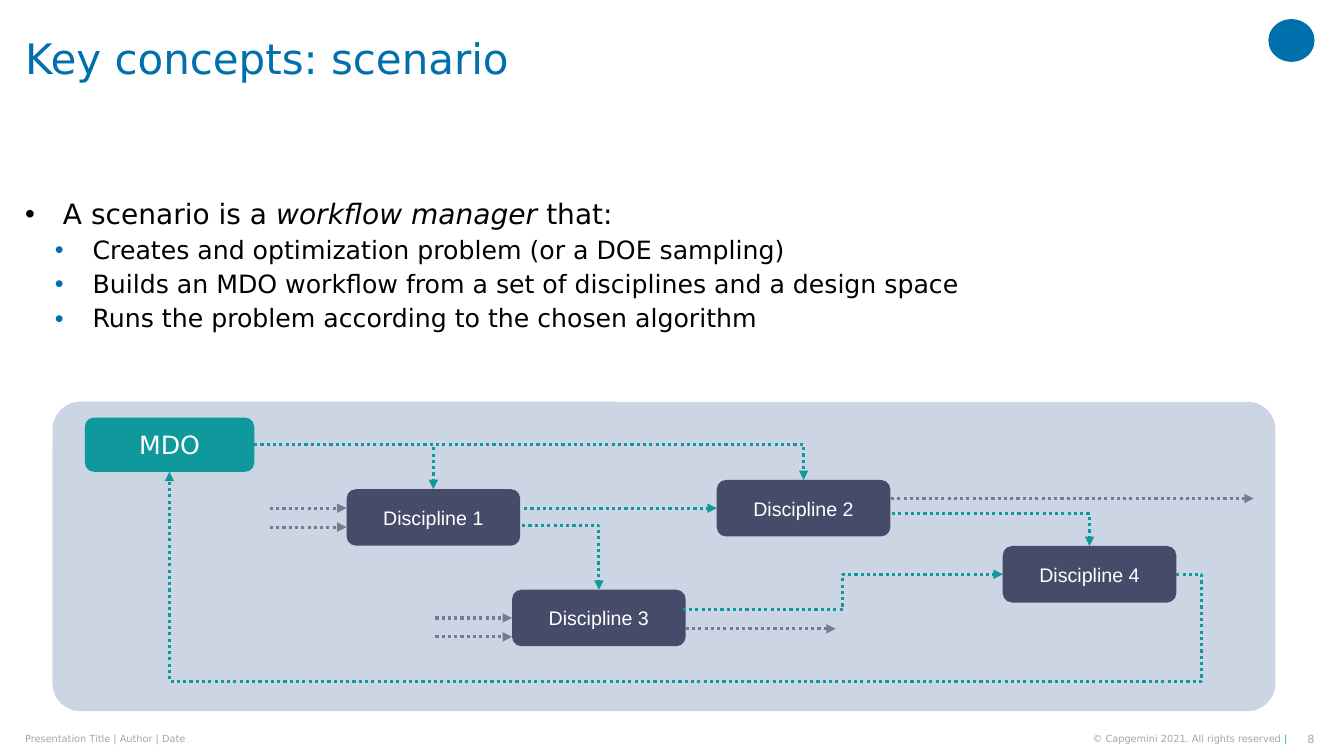
from lxml import etree
from pptx import Presentation
from pptx.dml.color import RGBColor
from pptx.enum.dml import MSO_LINE
from pptx.enum.shapes import MSO_CONNECTOR, MSO_SHAPE
from pptx.enum.text import MSO_ANCHOR, PP_ALIGN
from pptx.oxml.ns import qn
from pptx.util import Pt

ROUNDED, OVAL = MSO_SHAPE.ROUNDED_RECTANGLE, MSO_SHAPE.OVAL
STRAIGHT, ELBOW = MSO_CONNECTOR.STRAIGHT, MSO_CONNECTOR.ELBOW
DOTTED = MSO_LINE.ROUND_DOT
TOP_ANCHOR, MIDDLE = MSO_ANCHOR.TOP, MSO_ANCHOR.MIDDLE
LEFT_ALIGN, CENTER, RIGHT_ALIGN = PP_ALIGN.LEFT, PP_ALIGN.CENTER, PP_ALIGN.RIGHT
TOP, LEFT, BOTTOM, RIGHT = range(4)

BLUE, CYAN, TEAL = "0070AD", "12ABDB", "0F999C"
NAVY, SLATE, PANEL = "464B69", "777B91", "CBD5E3"
BLACK, WHITE, GREY = "000000", "FFFFFF", "A6A6A6"
SANS, ARIAL = "DejaVu Sans", "Arial"


def color(value):
    return RGBColor.from_string(value)


class Page:
    def __init__(self, slide, font):
        self.shapes = slide.shapes
        self.font = font

    def add_span(self, para, text, size, ink, font=None, italic=False):
        span = para.add_run()
        span.text = text
        span.font.size = Pt(size)
        span.font.name = font or self.font
        span.font.color.rgb = color(ink)
        span.font.italic = italic

    def text_box(self, left, top, width, height, anchor=MIDDLE):
        box = self.shapes.add_textbox(Pt(left), Pt(top), Pt(width), Pt(height))
        frame = box.text_frame
        frame.word_wrap = True
        frame.vertical_anchor = anchor
        frame.margin_left = frame.margin_top = 0
        frame.margin_right = frame.margin_bottom = 0
        return frame

    def label(self, left, top, width, height, spans, size, align=LEFT_ALIGN):
        para = self.text_box(left, top, width, height).paragraphs[0]
        para.alignment = align
        para.line_spacing = 0.9
        for text, ink in spans:
            self.add_span(para, text, size, ink)

    def bullet(self, para, margin, hanging, ink):
        properties = para._p.get_or_add_pPr()
        properties.set("marL", str(Pt(margin)))
        properties.set("indent", str(-Pt(hanging)))
        tint = etree.SubElement(properties, qn("a:buClr"))
        etree.SubElement(tint, qn("a:srgbClr")).set("val", ink)
        etree.SubElement(properties, qn("a:buFont")).set("typeface", ARIAL)
        etree.SubElement(properties, qn("a:buChar")).set("char", "•")
        para.line_spacing = 0.9

    def shape(self, kind, left, top, width, height, fill):
        box = self.shapes.add_shape(kind, Pt(left), Pt(top), Pt(width), Pt(height))
        box.shadow.inherit = False
        box.fill.solid()
        box.fill.fore_color.rgb = color(fill)
        box.line.fill.background()
        return box

    def block(self, left, top, width, height, fill, text, size, font=None):
        box = self.shape(ROUNDED, left, top, width, height, fill)
        box.text_frame.vertical_anchor = MIDDLE
        para = box.text_frame.paragraphs[0]
        para.alignment = CENTER
        self.add_span(para, text, size, WHITE, font)
        return box

    def arrow(self, start, end, ink, bends=0, source=None, target=None, adjust=()):
        kind = ELBOW if bends else STRAIGHT
        link = self.shapes.add_connector(kind, *[Pt(value) for value in start + end])
        if source:
            link.begin_connect(*source)
        if target:
            link.end_connect(*target)
        link.line.color.rgb = color(ink)
        link.line.width = Pt(2.25)
        link.line.dash_style = DOTTED
        properties = link._element.spPr
        head = etree.SubElement(properties.get_or_add_ln(), qn("a:tailEnd"))
        head.set("type", "triangle")
        etree.SubElement(properties, qn("a:effectLst"))
        if bends:
            geometry = properties.find(qn("a:prstGeom"))
            geometry.set("prst", f"bentConnector{bends + 1}")
            guides = geometry.find(qn("a:avLst"))
            for number, value in enumerate(adjust, 1):
                guide = etree.SubElement(guides, qn("a:gd"))
                guide.set("name", f"adj{number}")
                guide.set("fmla", f"val {round(value * 100000)}")


def add_texts(page):
    page.label(18, 0, 876, 87, [("Key concepts: scenario", BLUE)], 30)
    page.label(18, 523.5, 372, 9.5, [("Presentation Title | Author | Date", GREY)], 7)
    rights = [("© Capgemini 2021. All rights reserved ", GREY), ("|", CYAN)]
    page.label(710, 523.5, 209.5, 9.5, rights, 7, RIGHT_ALIGN)
    page.label(925, 523.5, 14, 9.5, [("8", GREY)], 8, RIGHT_ALIGN)

    frame = page.text_box(18, 143.3, 921.6, 124, TOP_ANCHOR)
    para = frame.paragraphs[0]
    page.bullet(para, 27, 27, BLACK)
    page.add_span(para, "A scenario is a ", 20, BLACK)
    page.add_span(para, "workflow manager ", 20, BLACK, italic=True)
    page.add_span(para, "that:", 20, BLACK)
    for task in (
        "Creates and optimization problem (or a DOE sampling)",
        "Builds an MDO workflow from a set of disciplines and a design space",
        "Runs the problem according to the chosen algorithm",
    ):
        para = frame.add_paragraph()
        page.bullet(para, 48.2, 27, BLUE)
        para.space_before = Pt(5)
        page.add_span(para, task, 18, BLACK)


def add_workflow(page):
    panel = page.shape(ROUNDED, 37.5, 287, 873.5, 221, PANEL)
    panel.adjustments[0] = 0.09
    mdo = page.block(60.6, 298.3, 121, 38.7, TEAL, "MDO", 18)
    corners = [(247.6, 349.4), (512, 342.8), (365.8, 421.2), (716.3, 390)]
    first, second, third, fourth = [
        page.block(left, top, 124, 40.4, NAVY, f"Discipline {number}", 14, ARIAL)
        for number, (left, top) in enumerate(corners, 1)
    ]

    for right, top in ((247.6, 363), (365.8, 441.4)):
        for level in (top, top + 13.5):
            page.arrow((right - 54.8, level), (right, level), SLATE)
    page.arrow((489.8, 449.2), (597, 449.2), SLATE)
    page.arrow((636.5, 356.1), (895.5, 356.1), SLATE)

    page.arrow((374.4, 363), (512, 363), TEAL, target=(second, LEFT))
    page.arrow((373, 375.2), (427.8, 421.2), TEAL, 1, target=(third, TOP))
    page.arrow((637.2, 367), (778.3, 390), TEAL, 1, target=(fourth, TOP))
    page.arrow((487.7, 435.4), (716.3, 410.2), TEAL, 2, target=(fourth, LEFT))
    for discipline in (first, second):
        page.arrow((181.6, 317.6), (309.6, 349.4), TEAL, 1, (mdo, RIGHT), (discipline, TOP))
    page.arrow((840.3, 410.2), (121.1, 337), TEAL, 3, (fourth, RIGHT), (mdo, BOTTOM),
               (-0.025, -1.045))


def main():
    deck = Presentation()
    deck.slide_width, deck.slide_height = Pt(960), Pt(540)
    page = Page(deck.slides.add_slide(deck.slide_layouts[6]), SANS)
    page.shape(OVAL, 906, 13.7, 33, 30.5, BLUE)
    add_texts(page)
    add_workflow(page)
    deck.save("out.pptx")


if __name__ == "__main__":
    main()
